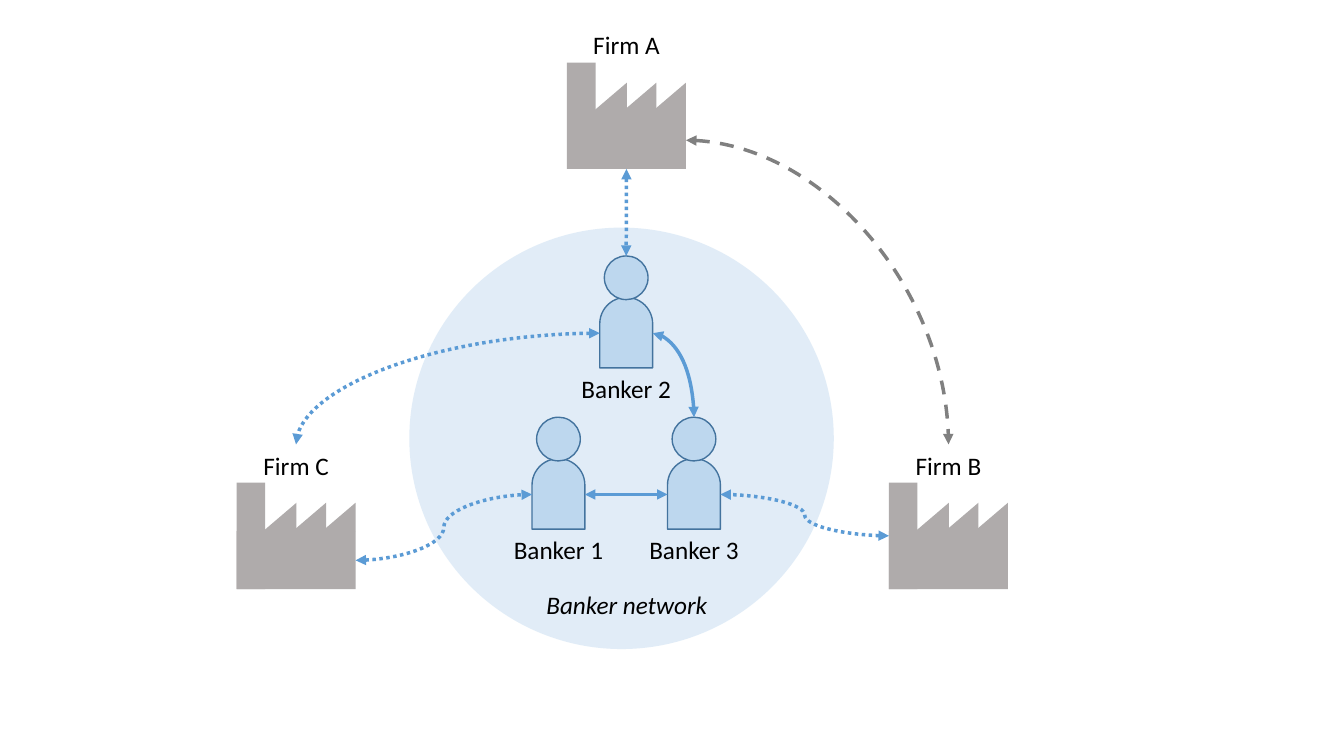
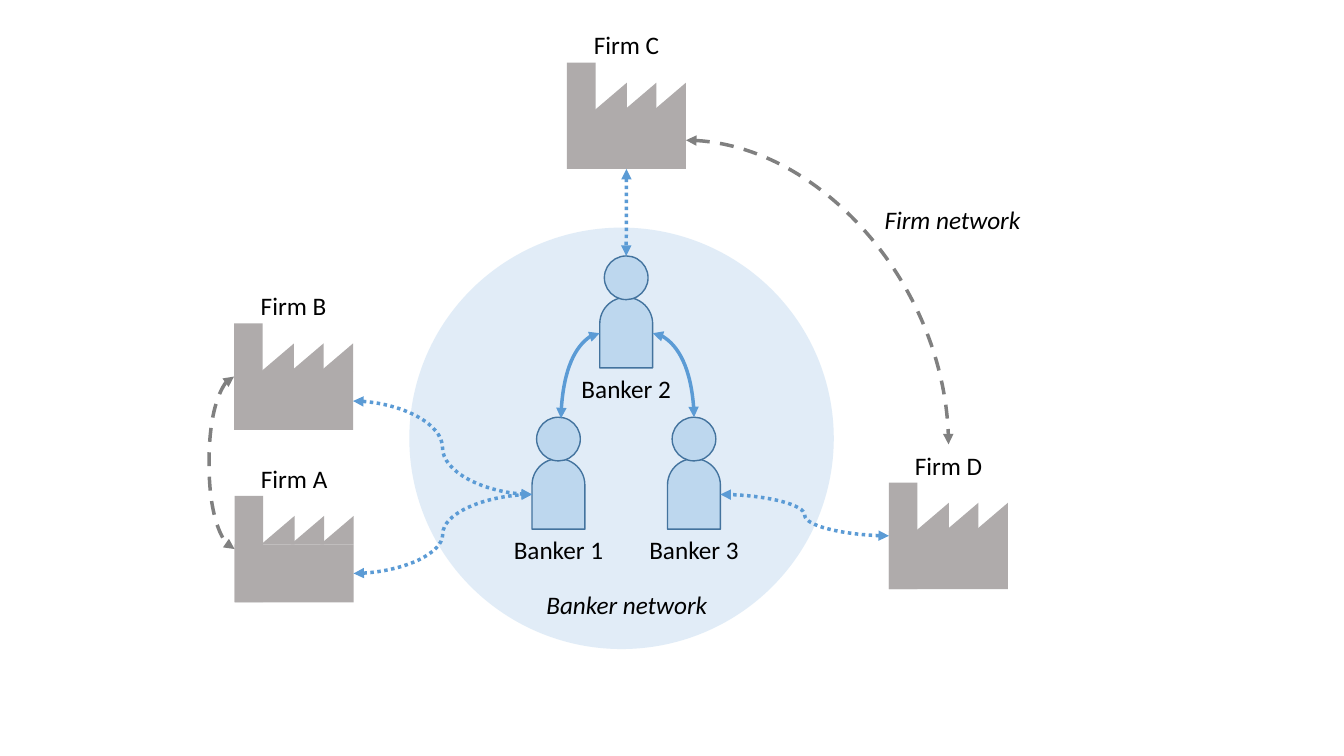
from dataclasses import dataclass
from lxml.etree import SubElement
from pptx import Presentation
from pptx.dml.color import RGBColor
from pptx.enum.dml import MSO_LINE as Dash
from pptx.enum.shapes import MSO_CONNECTOR as Conn, MSO_SHAPE as Kind
from pptx.enum.text import MSO_AUTO_SIZE as Fit, PP_ALIGN as Align
from pptx.oxml.ns import qn
from pptx.util import Pt

FONT = "Calibri"
BLUE, GREY = "5B9BD5", "808080"
SKIN, EDGE = "BDD7EE", "43739E"
STEEL, PALE, INK = "AFABAB", "DEEBF7", "000000"
TEXT_H = 29.1
FIRM_W, FIRM_H = 85, 76
MAN_W, MAN_H = 37.8, 80
SIDE = 0.69
DOOR = 0.73
ROOF = -0.36


@dataclass
class Box:
    x: float
    y: float
    w: float
    h: float

    def at(self, u, v):
        return self.x + u * self.w, self.y + v * self.h


def paint(hue):
    return RGBColor.from_string(hue)


def draw(shapes, kind, box, fill, edge=None):
    shape = shapes.add_shape(kind, Pt(box.x), Pt(box.y), Pt(box.w), Pt(box.h))
    shape.shadow.inherit = False
    shape.fill.solid()
    shape.fill.fore_color.rgb = paint(fill)
    if edge:
        shape.line.color.rgb = paint(edge)
        shape.line.width = Pt(1)
    else:
        shape.line.fill.background()
    return shape


def label(shapes, text, mid, y, w, slant=None):
    frame = shapes.add_textbox(Pt(mid - w / 2), Pt(y), Pt(w), Pt(TEXT_H)).text_frame
    frame.word_wrap = True
    frame.auto_size = Fit.SHAPE_TO_FIT_TEXT
    frame.text = text
    para = frame.paragraphs[0]
    para.alignment = Align.CENTER
    font = para.runs[0].font
    font.name, font.size, font.italic = FONT, Pt(18), slant
    font.color.rgb = paint(INK)


def firm(slide, name, x, y):
    box = Box(x, y, FIRM_W, FIRM_H)
    shapes = slide.shapes.add_group_shape().shapes
    base = 34.6
    draw(shapes, Kind.RECTANGLE, Box(x, y + base, FIRM_W, FIRM_H - base), STEEL)
    draw(shapes, Kind.RECTANGLE, Box(x, y, 20.4, FIRM_H), STEEL)
    wide, tall, step = 23.8, 20.3, 21.1
    for i in range(3):
        mid = x + FIRM_W - wide / 2 - (2 - i) * step
        top = y + base - tall / 2 - wide / 2
        tooth = draw(shapes, Kind.RIGHT_TRIANGLE,
                     Box(mid - tall / 2, top, tall, wide), STEEL)
        tooth.rotation = 270
    label(shapes, name, x + FIRM_W / 2, y - 27, 113.8)
    return box


def banker(slide, name, x, y):
    box = Box(x, y, MAN_W, MAN_H)
    shapes = slide.shapes.add_group_shape().shapes
    neck, head = 29.6, 31.2
    body = draw(shapes, Kind.ROUND_2_SAME_RECTANGLE,
                Box(x, y + neck, MAN_W, MAN_H - neck), SKIN, EDGE)
    body.adjustments[0] = 0.5
    body.adjustments[1] = 0
    draw(shapes, Kind.FLOWCHART_CONNECTOR,
         Box(x + (MAN_W - head) / 2, y, head, head), SKIN, EDGE)
    label(shapes, name, x + MAN_W / 2, y + MAN_H, 85)
    return box


def link(slide, start, end, hue=BLUE, dash=None, kind=Conn.CURVE, arc=False, bend=None):
    line = slide.shapes.add_connector(kind, *map(Pt, start + end))
    line.line.color.rgb = paint(hue)
    line.line.width = Pt(2.5)
    if dash:
        line.line.dash_style = dash
    props = line._element.spPr
    geom = props.find(qn("a:prstGeom"))
    if arc:
        geom.set("prst", "curvedConnector2")
    if bend is not None:
        ratio = round(bend / (end[0] - start[0]) * 100000)
        guides = geom.find(qn("a:avLst"))
        if guides is None:
            guides = SubElement(geom, qn("a:avLst"))
        SubElement(guides, qn("a:gd"), name="adj1", fmla=f"val {ratio}")
    stroke = props.find(qn("a:ln"))
    for tip in ("a:headEnd", "a:tailEnd"):
        SubElement(stroke, qn(tip), type="triangle")
    SubElement(props, qn("a:effectLst"))


def dots(slide, start, end, **more):
    link(slide, start, end, dash=Dash.ROUND_DOT, **more)


def core(slide, top, right):
    disc = draw(slide.shapes, Kind.OVAL, Box(292.4, 162.6, 303.2, 301), PALE)
    tint = disc._element.spPr.find(".//" + qn("a:srgbClr"))
    SubElement(tint, qn("a:alpha"), val="90000")
    men = [banker(slide, f"Banker {i + 1}", 380 + 48.4 * i, y)
           for i, y in enumerate((298, 182.8, 298))]
    north = firm(slide, top, 405, 44.7)
    east = firm(slide, right, 635, 344.8)
    label(slide.shapes, "Banker network", 447.8, 417.6, 175.7, True)
    link(slide, men[1].at(1, SIDE), men[2].at(0.5, 0), arc=True)
    dots(slide, north.at(0.5, 1), men[1].at(0.5, 0), kind=Conn.STRAIGHT)
    dots(slide, east.at(0, 0.5), men[2].at(1, SIDE))
    link(slide, north.at(1, DOOR), east.at(0.5, ROOF), GREY, Dash.DASH, arc=True)
    return men


def first(slide):
    one, two, three = core(slide, "Firm A", "Firm B")
    west = firm(slide, "Firm C", 169, 344.8)
    dots(slide, west.at(1, DOOR), one.at(0, SIDE))
    dots(slide, two.at(0, SIDE), west.at(0.5, ROOF), arc=True)
    link(slide, three.at(0, SIDE), one.at(1, SIDE), kind=Conn.STRAIGHT)


def second(slide):
    one, two, _ = core(slide, "Firm C", "Firm D")
    upper = firm(slide, "Firm B", 167.2, 231)
    lower = firm(slide, "Firm A", 167.6, 354.2)
    for west in (upper, lower):
        dots(slide, west.at(1, DOOR), one.at(0, SIDE))
    link(slide, two.at(0, SIDE), one.at(0.55, 0.01), arc=True)
    link(slide, upper.at(0, 0.5), lower.at(0, 0.5), GREY, Dash.DASH, bend=-18)
    label(slide.shapes, "Firm network", 680.4, 142.6, 175.7, True)


deck = Presentation()
deck.slide_width, deck.slide_height = Pt(960), Pt(540)
for build in (first, second):
    build(deck.slides.add_slide(deck.slide_layouts[6]))
deck.save("out.pptx")
